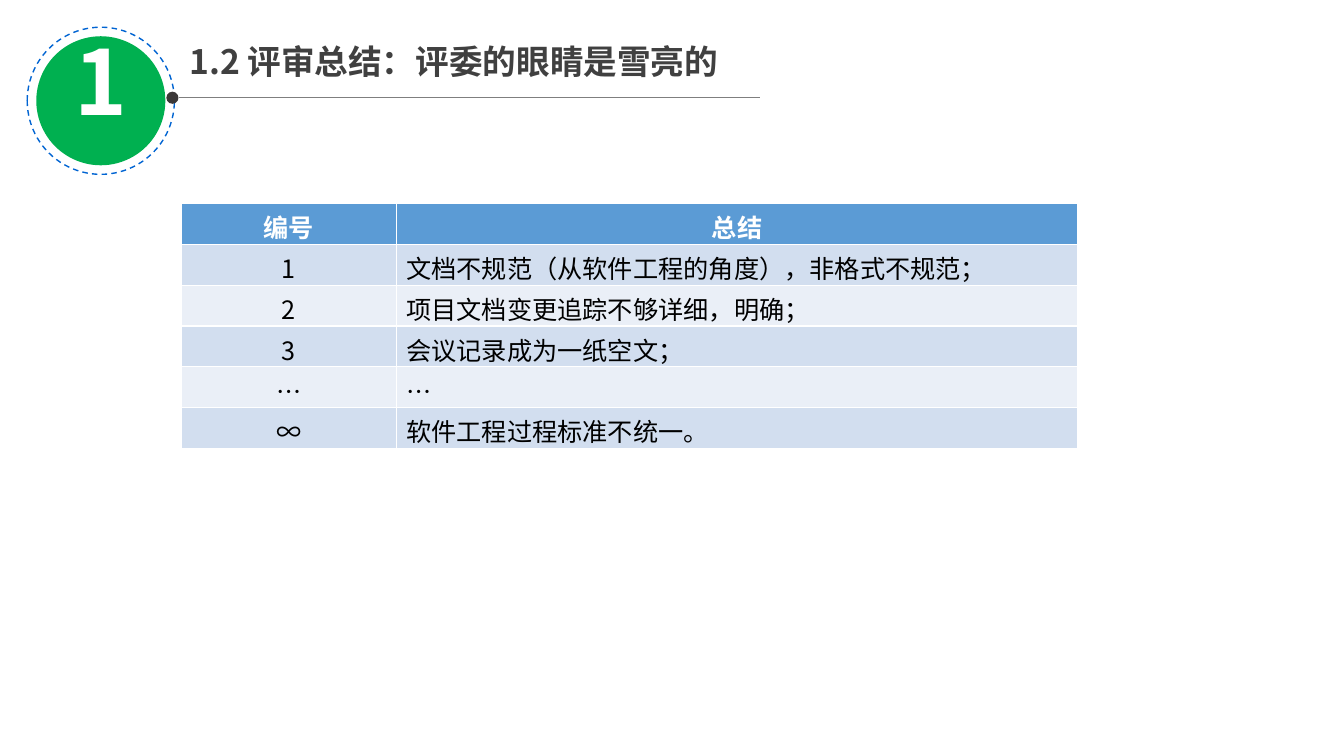
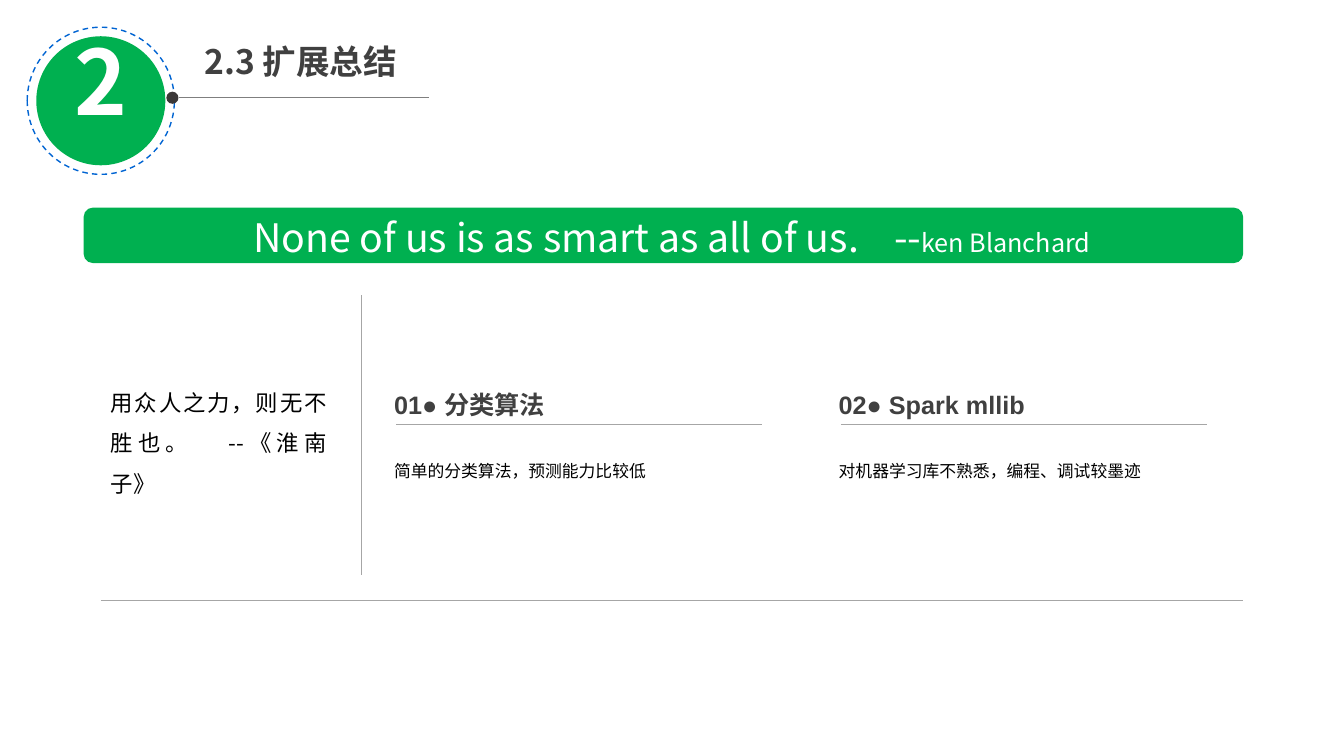
from pptx import Presentation
from pptx.dml.color import RGBColor
from pptx.enum.dml import MSO_LINE
from pptx.enum.shapes import MSO_CONNECTOR, MSO_SHAPE
from pptx.enum.text import PP_ALIGN
from pptx.oxml.ns import qn
from pptx.util import Inches, Pt
from lxml import etree

OVAL, ROUNDED = MSO_SHAPE.OVAL, MSO_SHAPE.ROUNDED_RECTANGLE
STRAIGHT, DASH = MSO_CONNECTOR.STRAIGHT, MSO_LINE.DASH
LEFT, CENTER, JUSTIFY = PP_ALIGN.LEFT, PP_ALIGN.CENTER, PP_ALIGN.JUSTIFY

COLORS = {
    "green": "00B050", "ring": "0064D2", "dot": "3B3838",
    "title_rule": "7F7F7F", "rule": "A6A6A6", "title": "404040",
    "text": "000000", "white": "FFFFFF",
    "table_head": "5B9BD5", "band_dark": "D2DEEF", "band_light": "EAEFF7",
}
CJK_FONT, LATIN_FONT = "Noto Sans CJK SC", "Arial"


def color(name):
    return RGBColor.from_string(COLORS[name])


def add_span(para, text, size, ink="text", bold=False, font=CJK_FONT, spacing=0):
    """Add one run; spacing is extra letter spacing in points."""
    span = para.add_run()
    span.text = text
    span.font.size = Pt(size)
    span.font.bold = bold
    span.font.color.rgb = color(ink)
    span.font.name = font
    props = span._r.get_or_add_rPr()
    props.set("lang", "zh-CN")
    if spacing:
        props.set("spc", str(spacing * 100))
    east_asian = etree.Element(qn("a:ea"), typeface=CJK_FONT)
    props.find(qn("a:latin")).addnext(east_asian)


def add_para(page, left, top, width, height, align=LEFT, line_spacing=None, inset=None):
    """Add a wrapping text box and return its paragraph."""
    box = page.shapes.add_textbox(Inches(left), Inches(top), Inches(width), Inches(height))
    frame = box.text_frame
    frame.word_wrap = True
    if inset is not None:
        frame.margin_left = frame.margin_right = Inches(inset)
        frame.margin_top = frame.margin_bottom = Inches(inset)
    para = frame.paragraphs[0]
    para.alignment = align
    if line_spacing:
        para.line_spacing = line_spacing
    return para


def add_shape(page, kind, left, top, width, height, fill=None, line=None):
    shape = page.shapes.add_shape(
        kind, Inches(left), Inches(top), Inches(width), Inches(height))
    shape.shadow.inherit = False
    if fill:
        shape.fill.solid()
        shape.fill.fore_color.rgb = color(fill)
    else:
        shape.fill.background()
    if line:
        shape.line.color.rgb = color(line)
        shape.line.width = Pt(1)
        shape.line.dash_style = DASH
    else:
        shape.line.fill.background()


def add_rule(page, x1, y1, x2, y2, ink="rule", weight=0.25):
    rule = page.shapes.add_connector(
        STRAIGHT, Inches(x1), Inches(y1), Inches(x2), Inches(y2))
    rule.line.color.rgb = color(ink)
    rule.line.width = Pt(weight)
    etree.SubElement(rule._element.spPr, qn("a:effectLst"))


def add_header(page, number, title, title_left, rule_end):
    """Numbered badge, title and the rule under it."""
    left = top = 0.27
    add_shape(page, OVAL, left + 0.09, top + 0.09, 1.28, 1.28, fill="green")
    digit = add_para(page, left + 0.09, top - 0.01, 1.28, 1.29, CENTER, inset=0)
    add_span(digit, number, 64, "white", bold=True)
    add_shape(page, OVAL, left, top, 1.46, 1.46, line="ring")
    add_shape(page, OVAL, left + 1.38, top + 0.64, 0.12, 0.12, fill="dot")
    add_rule(page, left + 1.51, top + 0.7, rule_end, top + 0.7, "title_rule", 0.5)
    para = add_para(page, title_left, top + 0.09, 6.8, 0.5)
    add_span(para, title, 24, "title", bold=True)


def add_summary_table(page, left, top, widths, row_height, rows):
    table = page.shapes.add_table(
        len(rows), len(widths), Inches(left), Inches(top),
        Inches(sum(widths)), Inches(row_height * len(rows))).table
    for column, width in zip(table.columns, widths):
        column.width = Inches(width)
    for r, row in enumerate(rows):
        header = r == 0
        band = "table_head" if header else ("band_light", "band_dark")[r % 2]
        for c, text in enumerate(row):
            cell = table.cell(r, c)
            cell.fill.solid()
            cell.fill.fore_color.rgb = color(band)
            cell.margin_bottom = 0
            para = cell.text_frame.paragraphs[0]
            para.alignment = CENTER if header or c == 0 else LEFT
            add_span(para, text, 18, "white" if header else "text", bold=header)


def add_quote_bar(page, left, top, width, height):
    add_shape(page, ROUNDED, left, top, width, height, fill="green")
    para = add_para(page, left + 1.39, top + 0.01, 8.89, height, CENTER)
    add_span(para, "None of us is as smart as all of us.", 28, "white")
    add_span(para, " ", 28, "white", spacing=19)
    add_span(para, "--", 28, "white")
    add_span(para, "ken Blanchard", 18, "white")


def add_side_quote(page, left, top, width, height):
    para = add_para(page, left, top, width, height, JUSTIFY, 1.5)
    add_span(para, "用众人之力，则无不胜也。", 16)
    add_span(para, " ", 16, spacing=18)
    add_span(para, "--《淮南子》", 16)


def add_point(page, left, top, heading, detail):
    """Heading over a rule, with one line of detail below."""
    width = 3.75
    add_rule(page, left + 0.12, top + 0.4, left + width, top + 0.4)
    para = add_para(page, left, top, width, 0.4)
    add_span(para, heading, 18, "title", bold=True, font=LATIN_FONT)
    para = add_para(page, left, top + 0.61, width, 0.4, line_spacing=1.5)
    add_span(para, detail, 12)


def build_review_page(page):
    add_header(page, "1", "1.2 评审总结：评委的眼睛是雪亮的", 1.78, 7.54)
    add_summary_table(page, 1.8, 2.02, (2.13, 6.76), 0.405, [
        ("编号", "总结"),
        ("1", "文档不规范（从软件工程的角度），非格式不规范；"),
        ("2", "项目文档变更追踪不够详细，明确；"),
        ("3", "会议记录成为一纸空文；"),
        ("…", "…"),
        ("∞", "软件工程过程标准不统一。"),
    ])


def build_extension_page(page):
    add_header(page, "2", "2.3 扩展总结", 1.93, 4.25)
    add_quote_bar(page, 0.83, 2.06, 11.5, 0.55)
    add_side_quote(page, 1, 3.68, 2.34, 0.91)
    # Dividers
    add_rule(page, 3.58, 2.93, 3.58, 5.7)
    add_rule(page, 1, 5.95, 12.33, 5.95)
    # Points
    points = [
        ("01● 分类算法", "简单的分类算法，预测能力比较低"),
        ("02● Spark mllib", "对机器学习库不熟悉，编程、调试较墨迹"),
    ]
    for i, (heading, detail) in enumerate(points):
        add_point(page, 3.81 + 4.41 * i, 3.81, heading, detail)


def main():
    deck = Presentation()
    deck.slide_width, deck.slide_height = Inches(13.33), Inches(7.5)
    for build in (build_review_page, build_extension_page):
        build(deck.slides.add_slide(deck.slide_layouts[6]))
    deck.save("out.pptx")


if __name__ == "__main__":
    main()
